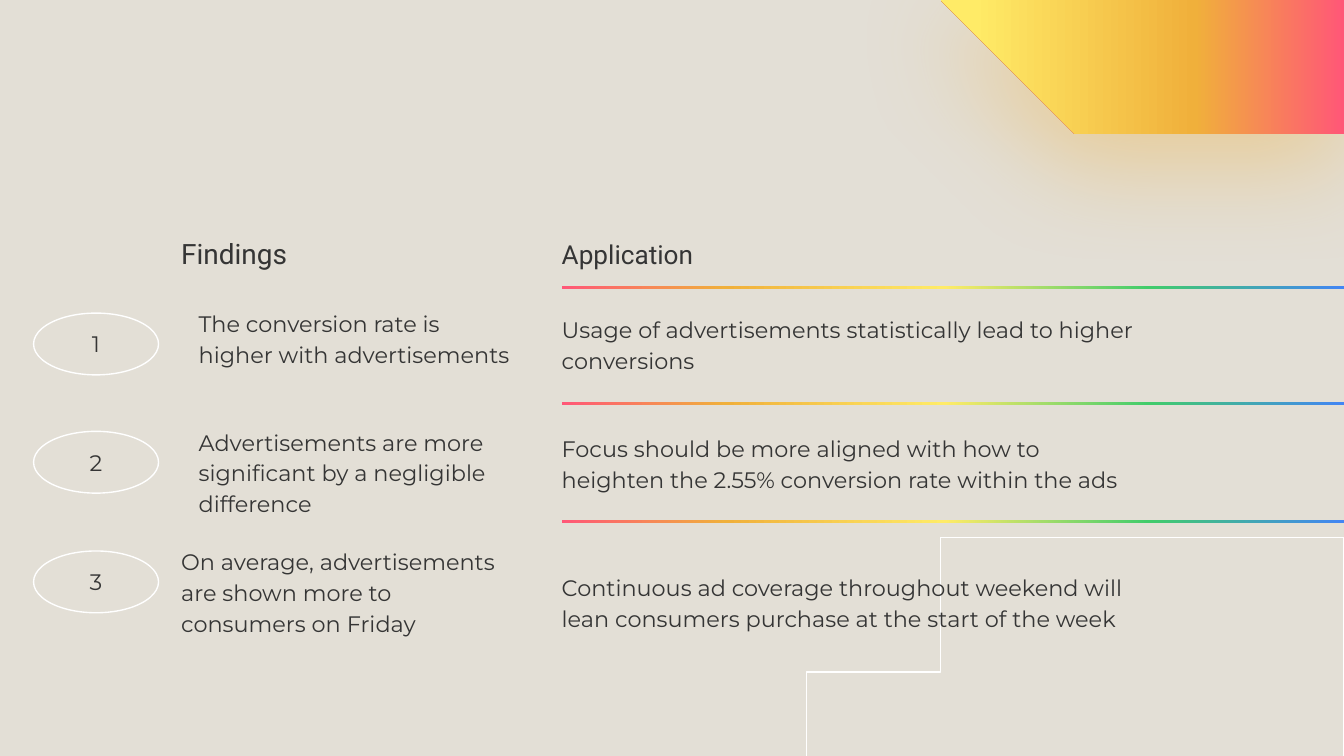
from lxml.etree import SubElement
from pptx import Presentation
from pptx.dml.color import RGBColor
from pptx.enum.shapes import MSO_SHAPE
from pptx.enum.text import MSO_ANCHOR, PP_ALIGN
from pptx.oxml.ns import qn
from pptx.util import Inches, Pt

COLORS = {
    "paper": "E3DFD6", "ink": "353535", "white": "FFFFFF", "pink": "FF5777",
    "amber": "F0B03B", "yellow": "FFEB67", "green": "41CC6B", "blue": "4285F4",
}
RAINBOW = [(0, "pink"), (21, "amber"), (49, "yellow"), (75, "green"), (100, "blue")]
SUNSET = [(0, "pink"), (37, "amber"), (92, "yellow"), (100, "yellow")]
BODY = {"name": "Montserrat", "size": Pt(12)}
ARC = [
    ((10, 3.55), (9.47, 3.59), (8.89, 3.7), (8.26, 3.88)),
    ((8.26, 3.88), (7.11, 4.25), (6.18, 4.77), (5.72, 5.29)),
    ((5.72, 5.29), (5.64, 5.39), (5.57, 5.5), (5.52, 5.63)),
]
ROWS = [
    (2.18, 1.38, 0, "The conversion rate is higher with advertisements",
     "Usage of advertisements statistically lead to higher conversions"),
    (3.06, 1.38, 0, "Advertisements are more significant by a negligible difference",
     "Focus should be more aligned with how to heighten the 2.55% conversion rate within the ads"),
    (3.95, 1.25, 0.15, "On average, advertisements are shown more to consumers on Friday",
     "Continuous ad coverage throughout weekend will lean consumers purchase at the start of the week"),
]
APPLICATION_LEFT = 4.18


def color(name):
    return RGBColor.from_string(COLORS[name])


def set_gradient(shape, stops, angle):
    shape.fill.gradient()
    shape.fill.gradient_angle = angle
    stop_list = shape._element.spPr.find(".//" + qn("a:gsLst"))
    for stop in list(stop_list):
        stop_list.remove(stop)
    for percent, name in stops:
        stop = SubElement(stop_list, qn("a:gs"), pos=str(percent * 1000))
        SubElement(stop, qn("a:srgbClr"), val=COLORS[name])
    shape.line.fill.background()
    shape.shadow.inherit = False


def set_outline(shape):
    shape.fill.background()
    shape.line.color.rgb = color("white")
    shape.line.width = Pt(0.75)
    shape.shadow.inherit = False


def fill_text(shape, text, font, spacing, align, frame_format):
    frame = shape.text_frame
    for name, value in frame_format.items():
        setattr(frame, name, value)
    para = frame.paragraphs[0]
    para.alignment = align
    para.line_spacing = spacing
    span = para.add_run()
    span.text = text
    for name, value in font.items():
        setattr(span.font, name, value)
    span.font.color.rgb = color("ink")


def add_text(page, box, text, font, anchor, inset):
    shape = page.shapes.add_textbox(*map(Inches, box))
    fill_text(shape, text, font, 1.15, PP_ALIGN.LEFT, {
        "word_wrap": True, "vertical_anchor": anchor,
        "margin_left": Inches(inset), "margin_right": Inches(0.1),
        "margin_top": Inches(0.1), "margin_bottom": Inches(0.1),
    })


def add_outline(page, points):
    builder = page.shapes.build_freeform(*points[0], scale=Inches(1))
    builder.add_line_segments(points[1:], close=True)
    return builder.convert_to_shape()


def curve_points(curve, steps=20):
    for step in range(steps + 1):
        t = step / steps
        weights = ((1 - t) ** 3, 3 * t * (1 - t) ** 2, 3 * t * t * (1 - t), t ** 3)
        yield tuple(sum(w * p[axis] for w, p in zip(weights, curve)) for axis in (0, 1))


def add_arc(page):
    points = [point for curve in ARC for point in curve_points(curve)]
    set_outline(add_outline(page, points + [(10, 5.63)]))


def add_corner(page, left, width, height):
    corner = add_outline(page, [
        (left, 0), (left + 0.99, height), (left + width, 0.56), (left + width, 0),
    ])
    set_gradient(corner, SUNSET, 180)
    effects = corner._element.spPr.find(qn("a:effectLst"))
    shadow = SubElement(effects, qn("a:outerShdw"), blurRad=str(Pt(55.1)),
                        dist=str(Pt(17.2)), dir=str(95 * 60000),
                        algn="bl", rotWithShape="0")
    tint = SubElement(shadow, qn("a:srgbClr"), val=COLORS["amber"])
    SubElement(tint, qn("a:alpha"), val="40000")


def add_rule(page, left, top, width):
    rule = page.shapes.add_shape(
        MSO_SHAPE.RECTANGLE, *map(Inches, (left, top, width, 0.02)))
    set_gradient(rule, RAINBOW, 0)


def add_number(page, left, top, number):
    badge = page.shapes.add_shape(
        MSO_SHAPE.OVAL, *map(Inches, (left, top, 0.93, 0.46)))
    set_outline(badge)
    fill_text(badge, str(number), BODY, 1, PP_ALIGN.CENTER, {
        "vertical_anchor": MSO_ANCHOR.MIDDLE,
        "margin_left": 0, "margin_right": 0, "margin_top": 0, "margin_bottom": 0,
    })


def add_headings(page, top):
    for left, text, size, inset in ((1.25, "Findings", 15, 0.1),
                                    (APPLICATION_LEFT, "Application", 14, 0)):
        add_text(page, (left, top, 2.4, 0.44), text,
                 {"name": "Roboto", "size": Pt(size)}, MSO_ANCHOR.BOTTOM, inset)


def add_row(page, number, top, finding_left, drop, finding, application):
    add_number(page, 0.25, top + 0.15, number)
    add_text(page, (finding_left, top, 2.54, 0.75), finding, BODY, MSO_ANCHOR.TOP, 0.1)
    add_text(page, (APPLICATION_LEFT, top + drop, 4.44, 0.75), application,
             BODY, MSO_ANCHOR.MIDDLE, 0)


def main():
    deck = Presentation()
    deck.slide_width = Inches(10)
    deck.slide_height = deck.slide_width * 9 // 16
    page = deck.slides.add_slide(deck.slide_layouts[6])
    page.background.fill.solid()
    page.background.fill.fore_color.rgb = color("paper")
    add_arc(page)
    add_corner(page, 6.7, 3.31, 0.91)
    for top in (2.13, 2.99, 3.87):
        add_rule(page, APPLICATION_LEFT, top, 10 - APPLICATION_LEFT)
    add_headings(page, 1.67)
    for number, row in enumerate(ROWS, 1):
        add_row(page, number, *row)
    deck.save("out.pptx")


if __name__ == "__main__":
    main()
